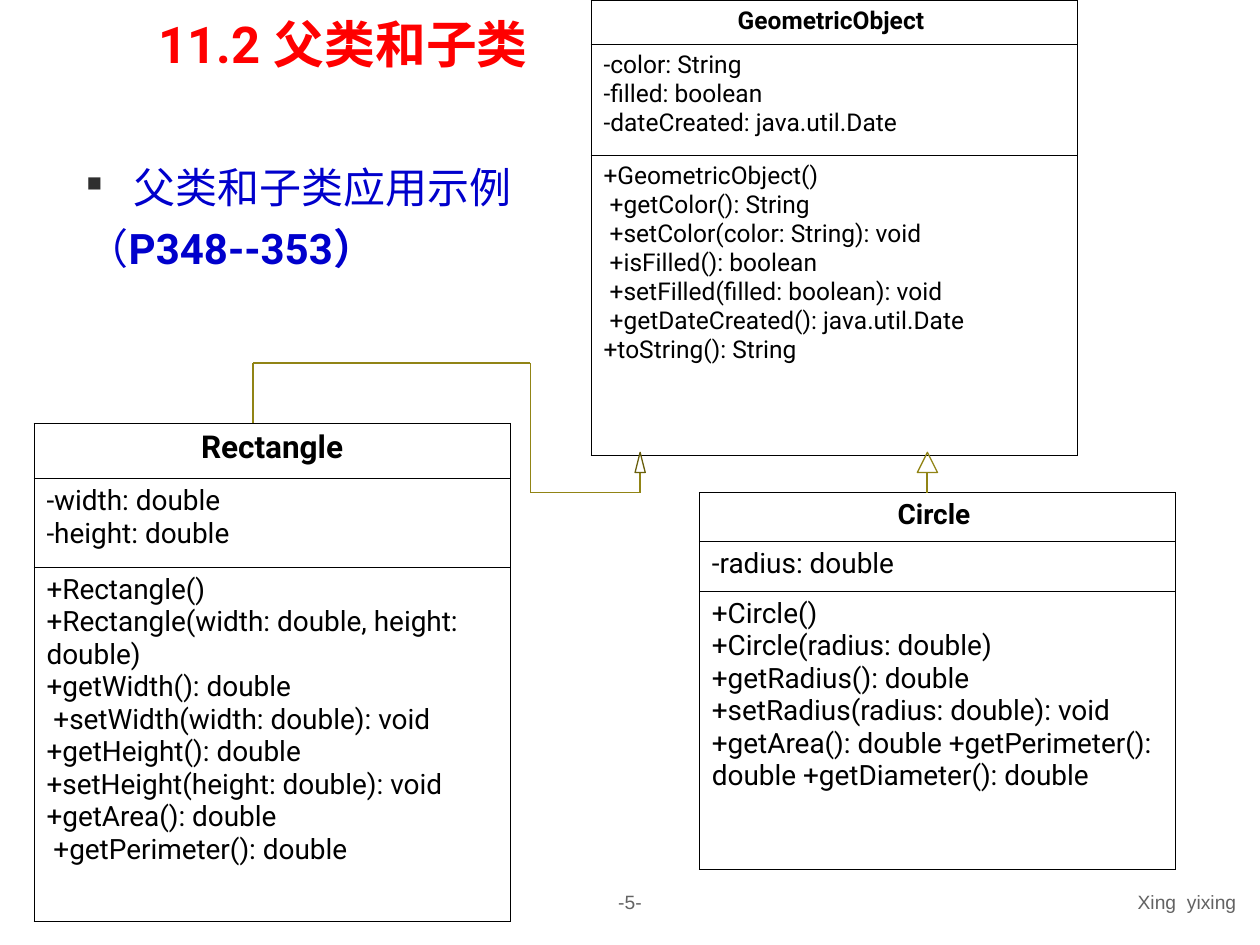
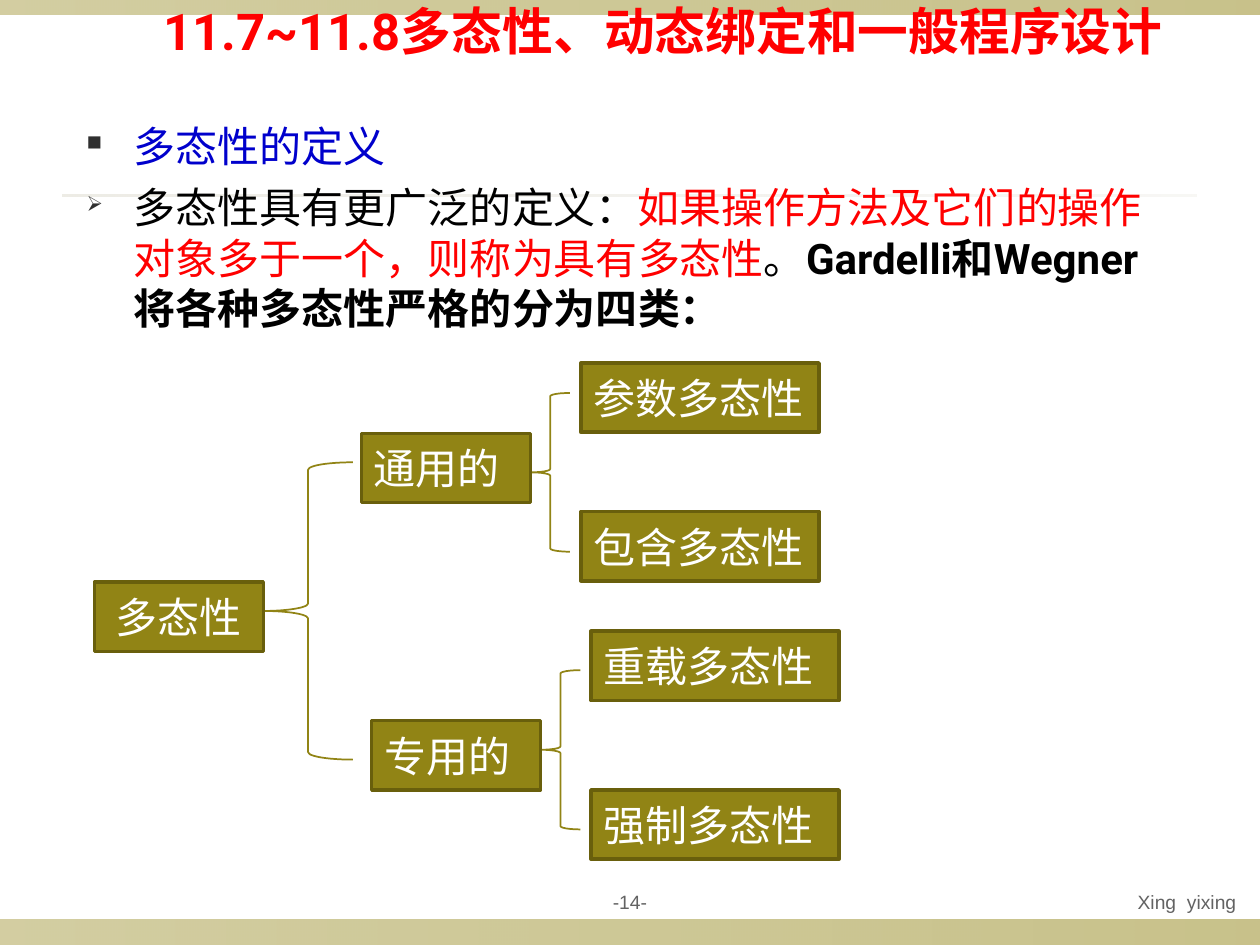
from dataclasses import dataclass
from itertools import pairwise

from pptx import Presentation
from pptx.dml.color import RGBColor
from pptx.enum.shapes import MSO_CONNECTOR, MSO_SHAPE
from pptx.enum.text import MSO_ANCHOR, MSO_AUTO_SIZE, PP_ALIGN
from pptx.oxml import parse_xml
from pptx.oxml.ns import nsdecls
from pptx.util import Pt

LEFT, MID, RIGHT = PP_ALIGN.LEFT, PP_ALIGN.CENTER, PP_ALIGN.RIGHT
TOP, CENTER = MSO_ANCHOR.TOP, MSO_ANCHOR.MIDDLE
FIXED = MSO_AUTO_SIZE.NONE
STRAIGHT = MSO_CONNECTOR.STRAIGHT
RECT, BRACE = MSO_SHAPE.RECTANGLE, MSO_SHAPE.LEFT_BRACE
PEAK = MSO_SHAPE.ISOSCELES_TRIANGLE
NS = nsdecls("a")


@dataclass(frozen=True)
class Theme:
    face: str = "Roboto"
    plain: str = "Arial"
    red: str = "FF0000"
    blue: str = "0000CC"
    black: str = "000000"
    white: str = "FFFFFF"
    gray: str = "636363"
    mark: str = "2F2F2F"
    olive: str = "918415"
    dark: str = "695F0C"
    pale: str = "DCD9CC"
    head: int = 29
    body: int = 24
    foot: int = 11


T = Theme()


def write(frame, paras, size, face=T.face, **form):
    """Fill a frame with paragraphs, each a list of (text, colour, bold) runs."""
    frame.word_wrap = True
    for n, runs in enumerate(paras):
        para = frame.add_paragraph() if n else frame.paragraphs[0]
        for key, value in form.items():
            setattr(para, key, value)
        for text, color, bold in runs:
            run = para.add_run()
            run.text = text
            look = {"name": face, "size": Pt(size), "bold": bold}
            for key, value in look.items():
                setattr(run.font, key, value)
            run.font.color.rgb = RGBColor.from_string(color)
            run.font.fill._xPr.append(parse_xml(f'<a:ea {NS} typeface="{face}"/>'))


def draw(slide, kind, box, edge=None, width=1):
    """Add an unfilled shape without shadow; box is in points."""
    shape = slide.shapes.add_shape(kind, *map(Pt, box))
    shape.shadow.inherit = False
    shape.fill.background()
    if edge:
        shape.line.color.rgb = RGBColor.from_string(edge)
        shape.line.width = Pt(width)
    else:
        shape.line.fill.background()
    return shape


deck = Presentation()
deck.slide_width, deck.slide_height = Pt(720), Pt(540)

# Title, body and footers of both slides
pages = [
    {
        "title": " 11.2 父类和子类", "align": LEFT, "inset": 7,
        "head": (76.3, 0, 232.6, 70.6),
        "box": (42.5, 88.6, 266.4, 96.5),
        "body": [
            ("■", [("父类和子类应用示例", T.blue, False)]),
            (None, [("（", T.blue, False), ("P348--353）", T.blue, True)]),
        ],
        "page": "-5-",
    },
    {
        "title": " 11.7~11.8多态性、动态绑定和一般程序设计", "align": MID, "inset": 0,
        "head": (76.3, 0, 598.3, 54.7),
        "box": (42.5, 65.5, 629.3, 436.3),
        "body": [
            ("■", [("多态性的定义", T.blue, False)]),
            ("➢", [
                ("多态性具有更广泛的定义：", T.black, False),
                ("如果操作方法及它们的操作对象多于一个，则称为具有多态性", T.red, False),
                ("。", T.black, False),
                ("Gardelli和Wegner将各种多态性严格的分为四类：", T.black, True),
            ]),
        ],
        "page": "-14-",
    },
]
for page in pages:
    slide = deck.slides.add_slide(deck.slide_layouts[5])
    title = slide.shapes.title
    for key, value in zip(("left", "top", "width", "height"), page["head"]):
        setattr(title, key, Pt(value))
    frame = title.text_frame
    form = {"auto_size": FIXED, "vertical_anchor": TOP, "margin_top": Pt(page["inset"])}
    for key, value in form.items():
        setattr(frame, key, value)
    write(frame, [[(page["title"], T.red, True)]], T.head, alignment=page["align"])

    frame = slide.shapes.add_textbox(*map(Pt, page["box"])).text_frame
    write(frame, [runs for _, runs in page["body"]], T.body)
    for n, (mark, _) in enumerate(page["body"]):
        para = frame.paragraphs[n]
        props = para._p.get_or_add_pPr()
        props.set("marL", str(Pt(27)))
        props.set("indent", str(Pt(-27)))
        if mark:
            for part in (
                f'<a:buClr {NS}><a:srgbClr val="{T.mark}"/></a:buClr>',
                f'<a:buSzPct {NS} val="50000"/>',
                f'<a:buChar {NS} char="{mark}"/>',
            ):
                props.append(parse_xml(part))
        if n:
            para.space_before = Pt(6)

    for text, left, width, align in (
        ("Xing  yixing", 419.8, 293.8, RIGHT),
        (page["page"], 324, 72, MID),
    ):
        box = slide.shapes.add_textbox(Pt(left), Pt(504), Pt(width), Pt(22.3))
        box.text_frame.vertical_anchor = CENTER
        write(box.text_frame, [[(text, T.gray, False)]], T.foot, T.plain, alignment=align)

uml, tree = deck.slides

# Class boxes: place, row heights, name size, member size, name, fields, methods
classes = [
    ((337.7, 0, 277.9), (25.2, 63.4, 171.4), 14, 14, "GeometricObject ",
     ["-color: String", "-filled: boolean", "-dateCreated: java.util.Date"],
     ["+GeometricObject()", " +getColor(): String",
      " +setColor(color: String): void", " +isFilled(): boolean",
      " +setFilled(filled: boolean): void",
      " +getDateCreated(): java.util.Date", "+toString(): String"]),
    ((19.4, 241.9, 272.2), (31.7, 50.4, 202.3), 18, 16, "Rectangle",
     ["-width: double", "-height: double"],
     ["+Rectangle()", "+Rectangle(width: double, height: double)",
      "+getWidth(): double",
      " +setWidth(width: double): void +getHeight(): double "
      "+setHeight(height: double): void +getArea(): double",
      " +getPerimeter(): double"]),
    ((399.6, 281.5, 272.2), (28.1, 28.1, 159.1), 16, 16, "Circle ",
     ["-radius: double"],
     ["+Circle()",
      "+Circle(radius: double) +getRadius(): double +setRadius(radius: double): void",
      "+getArea(): double +getPerimeter(): double +getDiameter(): double"]),
]
for (left, top, width), rows, big, small, name, fields, methods in classes:
    grid = uml.shapes.add_table(
        3, 1, Pt(left), Pt(top), Pt(width), Pt(sum(rows))).table
    grid.first_row = grid.horz_banding = False
    for n, lines in enumerate(([name], fields, methods)):
        grid.rows[n].height = Pt(rows[n])
        cell = grid.cell(n, 0)
        props = cell._tc.get_or_add_tcPr()
        for side in "LRTB":
            props.append(parse_xml(
                f'<a:ln{side} {NS} w="{Pt(0.45)}"><a:solidFill>'
                f'<a:srgbClr val="{T.black}"/></a:solidFill></a:ln{side}>'))
        cell.fill.background()
        write(cell.text_frame, [[(line, T.black, n == 0)] for line in lines],
              small if n else big, alignment=LEFT if n else MID)

# Inheritance arrows
routes = [
    [(144.7, 241.9), (144.7, 207.4), (303.1, 207.4), (303.1, 281.5),
     (365.8, 281.5), (365.8, 270)],
    [(529.9, 270), (529.9, 281.5)],
]
for route in routes:
    for start, end in pairwise(route):
        link = uml.shapes.add_connector(STRAIGHT, *map(Pt, start + end))
        link.line.color.rgb = RGBColor.from_string(T.olive)
        link.line.width = Pt(1)
        link._element.spPr.append(parse_xml(f"<a:effectLst {NS}/>"))
draw(uml, PEAK, (362.9, 258.5, 5.8, 11.5), T.dark, 0.75)
draw(uml, PEAK, (524.2, 258.5, 11.5, 11.5), T.olive, 0.75)

# Bands behind the text: place, colour, opacity at both ends
for box, color, alphas in (
    ((0, 525.6, 720, 14.4), T.olive, (40, 50)),
    ((0, 0, 720, 8.6), T.olive, (40, 50)),
    ((36, 110.9, 648, 1.4), T.pale, (50, 20)),
):
    band = draw(tree, RECT, box)
    band.fill.gradient()
    band.fill.gradient_angle = 0
    for stop, place, alpha in zip(band.fill.gradient_stops, (0, 1), alphas):
        stop.position = place
        stop.color.rgb = RGBColor.from_string(color)
        stop._gs[0].append(parse_xml(f'<a:alpha {NS} val="{alpha * 1000}"/>'))
    tree.shapes._spTree.insert(2, band._element)

# Polymorphism tree
for box in (
    (150.5, 264.2, 51.1, 169.9),
    (303.1, 224.6, 22.6, 90.7),
    (308.9, 383, 22.8, 91),
):
    draw(tree, BRACE, box, T.olive)
for text, left, top, width, align in (
    ("多态性", 54, 332.6, 96.5, MID),
    ("通用的", 206.6, 247.7, 96.5, LEFT),
    ("专用的", 212.4, 411.8, 96.5, LEFT),
    ("参数多态性", 331.9, 207.4, 136.1, LEFT),
    ("包含多态性", 331.9, 292.3, 136.1, LEFT),
    ("重载多态性", 337.7, 360.7, 141.8, LEFT),
    ("强制多态性", 337.7, 451.4, 141.8, LEFT),
):
    node = draw(tree, RECT, (left, top, width, 39.6), T.dark, 2)
    node.fill.solid()
    node.fill.fore_color.rgb = RGBColor.from_string(T.olive)
    node.text_frame.vertical_anchor = CENTER
    write(node.text_frame, [[(text, T.white, False)]], T.body, alignment=align)

deck.save("out.pptx")
